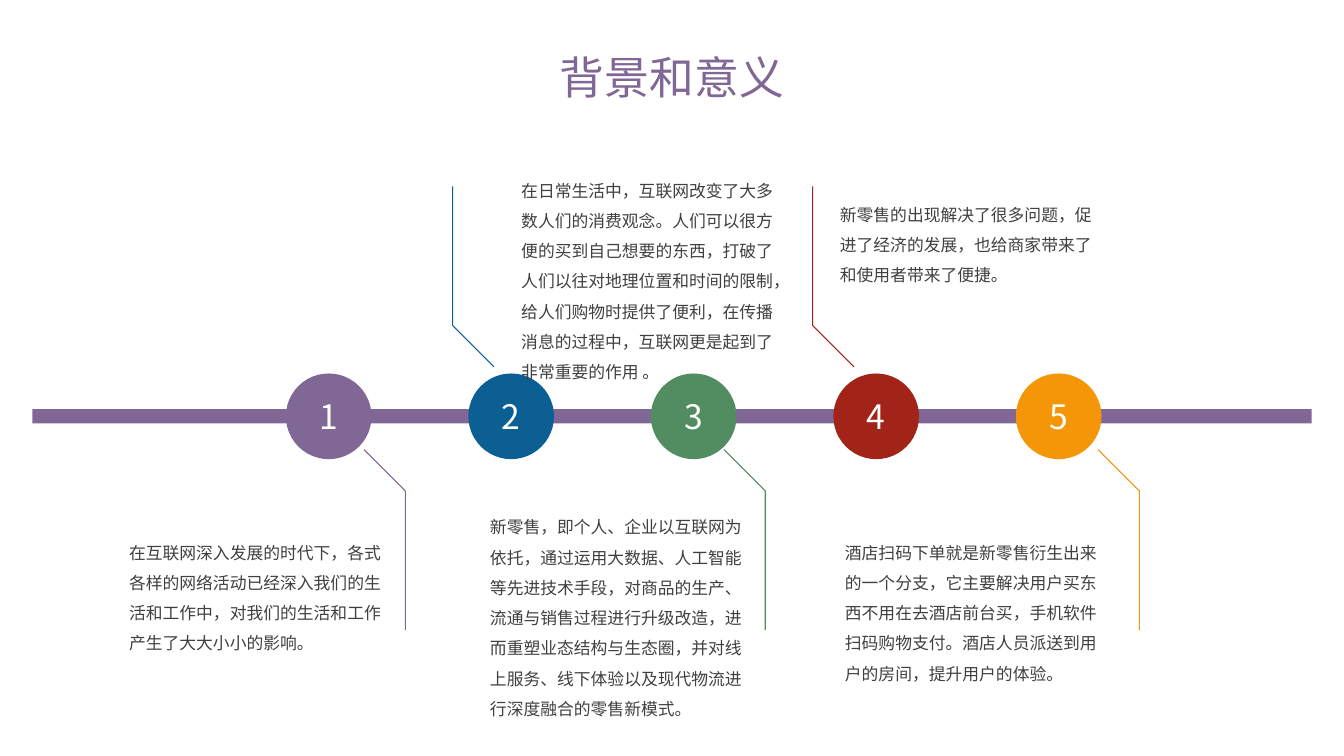
"""Build a five-step timeline slide on background and significance."""
from lxml import etree
from pptx import Presentation
from pptx.dml.color import RGBColor
from pptx.enum.shapes import MSO_SHAPE
from pptx.enum.text import MSO_ANCHOR, MSO_AUTO_SIZE, PP_ALIGN
from pptx.oxml.ns import qn
from pptx.util import Inches, Pt

OVAL, RECTANGLE = MSO_SHAPE.OVAL, MSO_SHAPE.RECTANGLE
MIDDLE, BOTTOM, TOP = MSO_ANCHOR.MIDDLE, MSO_ANCHOR.BOTTOM, MSO_ANCHOR.TOP
CENTER, LEFT = PP_ALIGN.CENTER, PP_ALIGN.LEFT
GROW = MSO_AUTO_SIZE.SHAPE_TO_FIT_TEXT

PURPLE = RGBColor(0x80, 0x67, 0x95)
BLUE = RGBColor(0x0B, 0x5F, 0x92)
GREEN = RGBColor(0x51, 0x8D, 0x61)
RED = RGBColor(0xA2, 0x23, 0x18)
ORANGE = RGBColor(0xF5, 0x95, 0x08)
GREY = RGBColor(0x40, 0x40, 0x40)
WHITE = RGBColor(0xFF, 0xFF, 0xFF)
TITLE_FONT, BODY_FONT = "Noto Sans CJK SC", "Noto Sans CJK JP"

TITLE = "背景和意义"
STEPS = [
    (PURPLE, 3.61, "below", 1.17, 5.22, 1.32,
     "在互联网深入发展的时代下，各式各样的网络活动已经深入我们的生活和工作中，"
     "对我们的生活和工作产生了大大小小的影响。"),
    (BLUE, 4.9, "above", 5.06, 1.63, 2.23,
     "在日常生活中，互联网改变了大多数人们的消费观念。人们可以很方便的买到自己想要的东西，"
     "打破了人们以往对地理位置和时间的限制，给人们购物时提供了便利，在传播消息的过程中，"
     "互联网更是起到了非常重要的作用 。"),
    (GREEN, 7.18, "below", 4.75, 4.97, 2.2,
     "新零售，即个人、企业以互联网为依托，通过运用大数据、人工智能等先进技术手段，"
     "对商品的生产、流通与销售过程进行升级改造，进而重塑业态结构与生态圈，"
     "并对线上服务、线下体验以及现代物流进行深度融合的零售新模式。"),
    (RED, 8.47, "above", 8.22, 1.87, 0.99,
     "新零售的出现解决了很多问题，促进了经济的发展，也给商家带来了和使用者带来了便捷。"),
    (ORANGE, 10.89, "below", 8.27, 5.22, 1.59,
     "酒店扫码下单就是新零售衍生出来的一个分支，它主要解决用户买东西不用在去酒店前台买，"
     "手机软件扫码购物支付。酒店人员派送到用户的房间，提升用户的体验。"),
]

FIRST_CENTER, STEP_GAP, AXIS_Y = 3.26, 1.81, 4.13
OUTER, INNER = 0.85, 0.66
LEADER_START = {"below": (4.46, 1), "above": (3.64, -1)}
LEADER_SLANT, LEADER_LENGTH = 0.41, 1.79
TEXT_WIDTH = 2.85


def write(shape, text, font_name, size, color, align, anchor, spacing=1.0):
    """Put one formatted paragraph into a shape."""
    frame = shape.text_frame
    frame.word_wrap = True
    frame.vertical_anchor = anchor
    paragraph = frame.paragraphs[0]
    paragraph.text = text
    paragraph.alignment = align
    paragraph.line_spacing = spacing
    font = paragraph.font
    font.size, font.name = Pt(size), font_name
    font.color.rgb = color
    properties = paragraph._p.pPr.find(qn("a:defRPr"))
    etree.SubElement(properties, qn("a:ea")).set("typeface", font_name)
    return frame


def add_filled(slide, kind, left, top, width, height, color):
    """Add a plain filled shape without an outline."""
    shape = slide.shapes.add_shape(
        kind, Inches(left), Inches(top), Inches(width), Inches(height))
    shape.shadow.inherit = False
    shape.fill.solid()
    shape.fill.fore_color.rgb = color
    shape.line.fill.background()
    return shape


def add_circle(slide, center, diameter, color):
    """Add a circle centred on the timeline axis."""
    return add_filled(slide, OVAL, center - diameter / 2,
                      AXIS_Y - diameter / 2, diameter, diameter, color)


def add_leader(slide, x, side, color):
    """Add the bent line that leads away from a circle."""
    y, direction = LEADER_START[side]
    far_x = x + direction * LEADER_SLANT
    points = [(far_x, y + direction * LEADER_SLANT),
              (far_x, y + direction * LEADER_LENGTH)]
    builder = slide.shapes.build_freeform(Inches(x), Inches(y))
    builder.add_line_segments(
        [(Inches(px), Inches(py)) for px, py in points], close=False)
    leader = builder.convert_to_shape()
    leader.shadow.inherit = False
    leader.fill.background()
    leader.line.color.rgb = color
    leader.line.width = Pt(0.75)


def add_description(slide, left, top, height, text):
    """Add the explanatory text of a step."""
    box = slide.shapes.add_textbox(
        Inches(left), Inches(top), Inches(TEXT_WIDTH), Inches(height))
    frame = write(box, text, BODY_FONT, 12, GREY, LEFT, TOP, 1.5)
    frame.auto_size = GROW
    frame.margin_left = frame.margin_right = Inches(0.11)
    frame.margin_top = frame.margin_bottom = Inches(0.06)


def main():
    """Create and save the slide."""
    presentation = Presentation()
    presentation.slide_width = Inches(13.33)
    presentation.slide_height = Inches(7.5)
    slide = presentation.slides.add_slide(presentation.slide_layouts[6])

    title = slide.shapes.add_textbox(
        Inches(3.59), Inches(0.16), Inches(6.15), Inches(0.92))
    write(title, TITLE, TITLE_FONT, 32, PURPLE, CENTER, BOTTOM, 0.9)
    add_filled(slide, RECTANGLE, 0.32, 4.06, 12.69, 0.14, PURPLE)

    for index, (color, x, side, left, top, height, text) in enumerate(STEPS):
        center = FIRST_CENTER + index * STEP_GAP
        add_circle(slide, center, OUTER, color)
        number = add_circle(slide, center, INNER, color)
        frame = write(number, str(index + 1), BODY_FONT, 24, WHITE,
                      CENTER, MIDDLE)
        frame.margin_left = frame.margin_right = 0
        frame.margin_top = frame.margin_bottom = 0
        add_leader(slide, x, side, color)
        add_description(slide, left, top, height, text)

    presentation.save("out.pptx")


if __name__ == "__main__":
    main()
